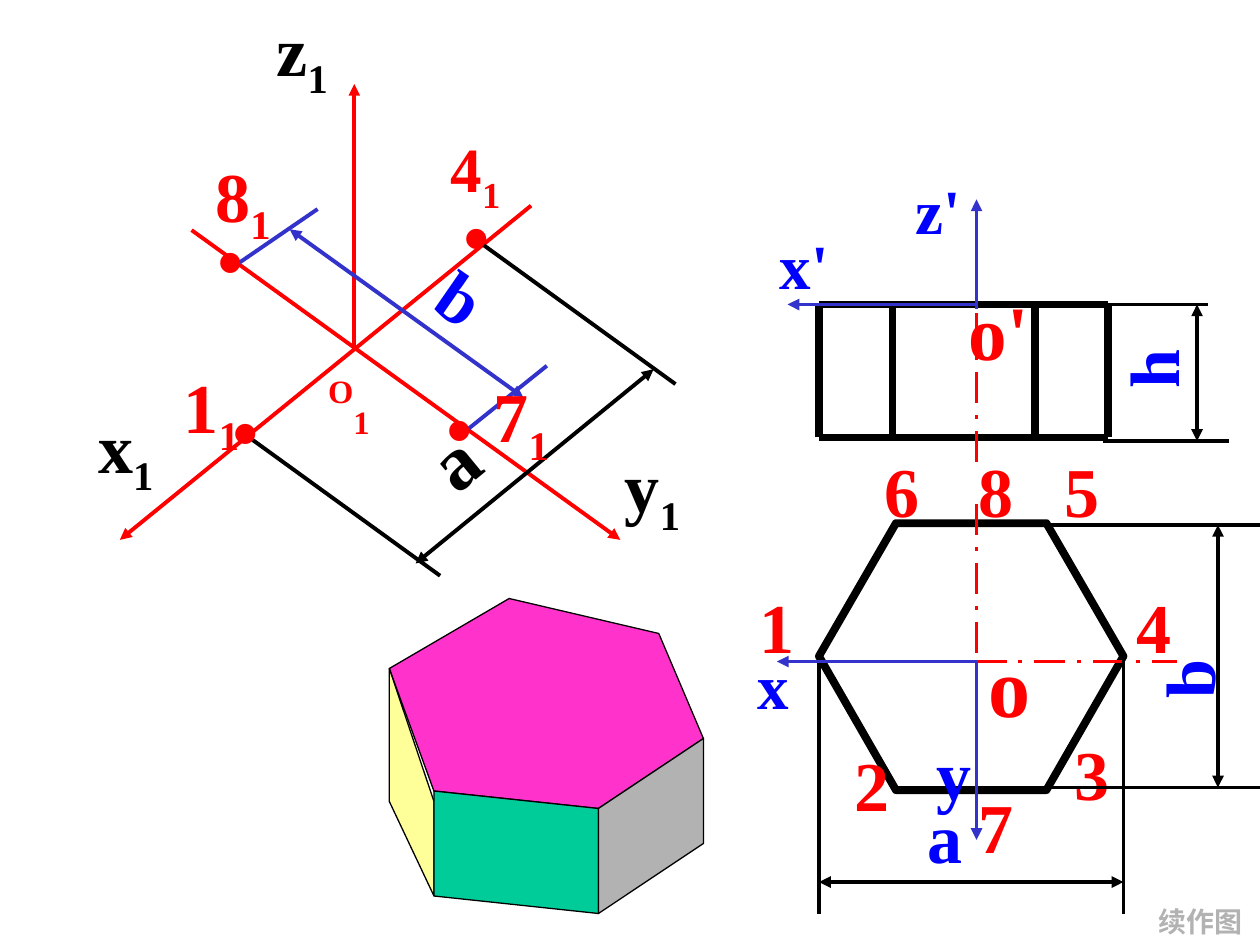
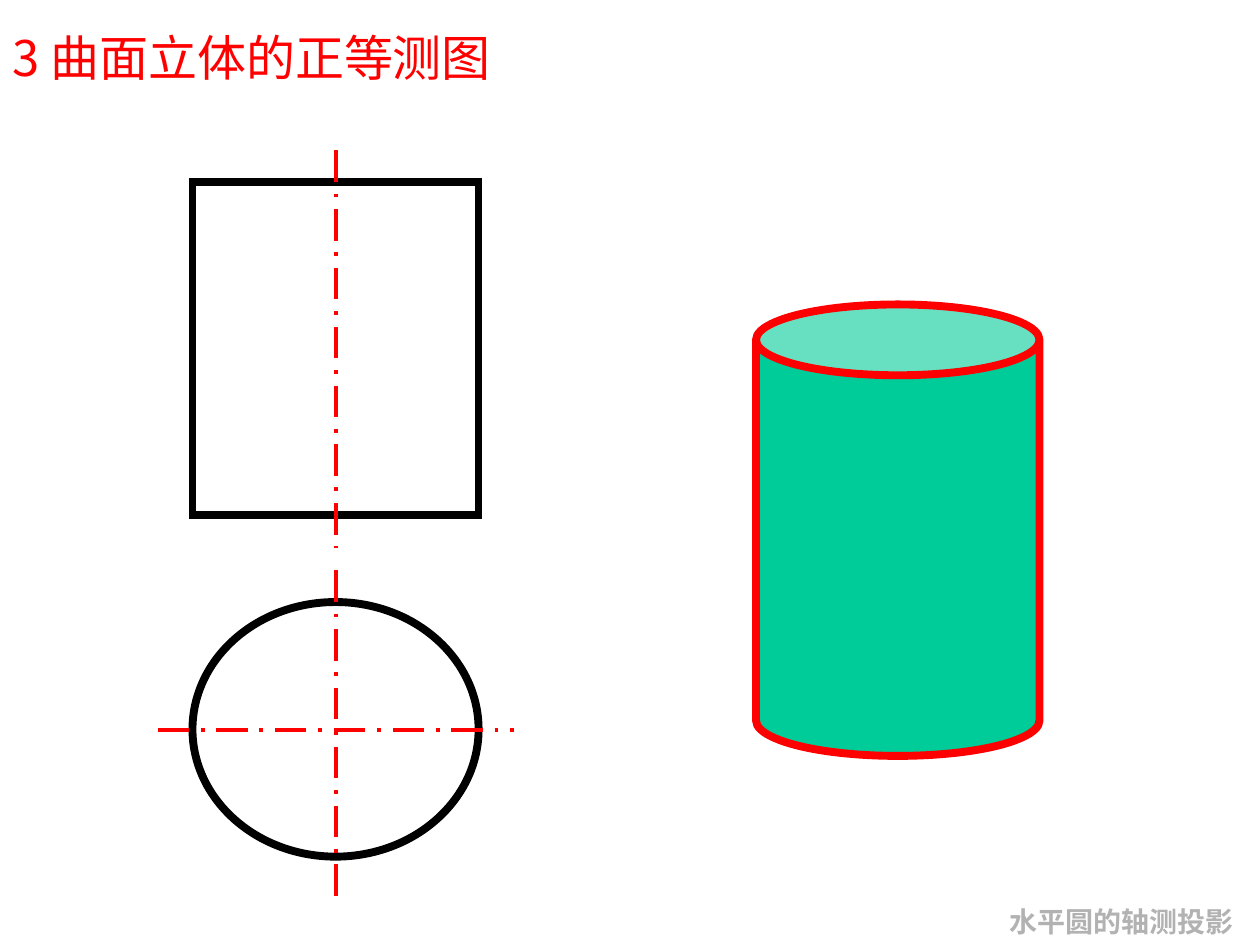
from dataclasses import dataclass

from lxml import etree
from pptx import Presentation, util as u
from pptx.dml.color import RGBColor
from pptx.enum import dml, shapes, text
from pptx.oxml.ns import qn

Pt = u.Pt


@dataclass(frozen=True)
class Theme:
    black: str = "000000"
    red: str = "FF0000"
    blue: str = "0000FF"
    navy: str = "3333CC"
    pink: str = "FF33CC"
    cream: str = "FFFF99"
    green: str = "00CC99"
    gray: str = "B2B2B2"
    serif: str = "Times New Roman"
    sans: str = "Arial"
    han: str = "Noto Sans CJK SC"
    note: int = 16
    head: int = 28
    small: int = 32
    mid: int = 36
    base: int = 40
    big: int = 44
    huge: int = 48
    hair: float = 0.75
    thin: float = 2.25
    thick: float = 4.5


T = Theme()


class Board:
    """Holds the deck, the theme and the slide being drawn."""

    def __init__(self):
        self.deck = Presentation()
        self.deck.slide_width, self.deck.slide_height = Pt(720), Pt(540)
        self.slide = None

    def page(self):
        self.slide = self.deck.slides.add_slide(self.deck.slide_layouts[6])

    def style(self, shape, fill, col, width):
        shape.shadow.inherit = False
        if fill:
            shape.fill.solid()
            shape.fill.fore_color.rgb = RGBColor.from_string(fill)
        else:
            shape.fill.background()
        shape.line.color.rgb = RGBColor.from_string(col)
        shape.line.width = Pt(width)

    def shape(self, kind, box, fill=None, col=T.black):
        item = self.slide.shapes.add_shape(kind, *map(Pt, box))
        self.style(item, fill, col, T.thick)
        edge = item.element.spPr.find(qn("a:ln"))
        etree.SubElement(edge, qn("a:miter")).set("lim", "800000")
        return item

    def poly(self, dots, fill=None, width=T.hair):
        dots = [(Pt(x), Pt(y)) for x, y in dots]
        pen = self.slide.shapes.build_freeform(*dots[0])
        pen.add_line_segments(dots[1:], close=True)
        self.style(pen.convert_to_shape(), fill, T.black, width)

    def line(self, x1, y1, x2, y2, col=T.black, width=T.thin, ends=(), dash=False):
        item = self.slide.shapes.add_connector(
            shapes.MSO_CONNECTOR.STRAIGHT, Pt(x1), Pt(y1), Pt(x2), Pt(y2))
        item.line.color.rgb = RGBColor.from_string(col)
        item.line.width = Pt(width)
        if dash:
            item.line.dash_style = dml.MSO_LINE.LONG_DASH_DOT
        props = item.element.spPr
        for end in ends:
            etree.SubElement(props.find(qn("a:ln")), qn(f"a:{end}")).set("type", "triangle")
        etree.SubElement(props, qn("a:effectLst"))

    def arrow(self, *ends, col=T.navy):
        self.line(*ends, col=col, ends=["tailEnd"])

    def span(self, *ends, col=T.black):
        self.line(*ends, col=col, ends=["headEnd", "tailEnd"])

    def axis(self, *ends):
        self.line(*ends, col=T.red, dash=True)

    def label(self, words, box, col=T.red, size=T.base, sub="", up=0, turn=0,
              face=T.serif, bold=True, mid=False, wrap=False):
        item = self.slide.shapes.add_textbox(*map(Pt, box))
        item.rotation = turn
        frame = item.text_frame
        frame.word_wrap = wrap
        frame.auto_size = text.MSO_AUTO_SIZE.SHAPE_TO_FIT_TEXT
        para = frame.paragraphs[0]
        para.text = words
        if mid:
            para.alignment = text.PP_ALIGN.CENTER
        if sub:
            para.add_run().text = sub
        for run, shift in zip(para.runs, (up, -25)):
            font = run.font
            font.name, font.size, font.bold = face, Pt(size), bold
            font.color.rgb = RGBColor.from_string(col)
            props = run._r.get_or_add_rPr()
            etree.SubElement(props, qn("a:ea")).set("typeface", T.han)
            if shift:
                props.set("baseline", str(shift * 1000))

    def note(self, words, left, width):
        self.label(words, (left, 513.5, width, 26.5), T.gray, T.note, mid=True)


def prism(b):
    # Solid hexagonal prism
    rim = [(291, 342), (222.5, 382), (248, 452), (342, 462), (402, 422), (376.5, 362)]
    b.poly(rim, T.pink)
    b.poly([(222.5, 382), (222.5, 458), (248, 512), (248, 458)], T.cream)
    for i, fill in ((2, T.green), (3, T.gray)):
        (x1, y1), (x2, y2) = rim[i], rim[i + 1]
        b.poly([(x1, y1), (x2, y2), (x2, y2 + 60), (x1, y1 + 60)], fill)


def iso(b):
    # Axonometric axes
    axes = (("x", (303.5, 117.5, 68.5, 308.5), (49, 227, 46, 62)),
            ("y", (109.5, 131.5, 354.5, 308.5), (350, 249.5, 46, 62)),
            ("z", (202.5, 200, 202.5, 48), (151, 0, 45, 62)))
    for name, ends, box in axes:
        b.arrow(*ends, col=T.red)
        b.label(name, box, T.black, sub="1")
    b.label("O", (180.5, 204.5, 38.5, 51), size=T.small, sub="1", up=30)

    # Width b
    b.line(134, 152, 181.5, 119.5, T.navy)
    b.line(261.5, 250, 312.5, 209, T.navy)
    b.span(299, 227, 165.5, 131, col=T.navy)
    b.label("b", (246, 142, 37, 55.5), T.blue, turn=34.7)

    # Length a
    b.line(273.5, 138, 386, 219.5)
    b.line(139, 247.5, 251.5, 329)
    b.span(237.5, 322, 373.5, 211)
    b.label("a", (241, 232.5, 36, 60.5), T.black, T.big, turn=320.5)

    # Points on the axes
    for name, x, y in (("7", 275, 209.5), ("8", 116, 83.5), ("1", 98, 204)):
        b.label(name, (x, y, 46, 62), sub="1")
    b.label("4", (250.5, 70.5, 45, 57), size=T.mid, sub="1")
    for x, y in ((248.5, 216), (118, 120), (258.5, 106.5), (126.5, 218)):
        b.label("•", (x, y, 31, 55.5), face=T.sans)


def views(b):
    left, right, mid, top, low = 468, 642, 558, 174, 250

    # Top view and front view
    b.poly([(right, 375), (598, 299), (512, 299), (left, 375), (512, 451.5), (598, 451.5)],
           width=T.thick)
    for x in (left, 510, 591.5, 633):
        b.line(x, low, x, top, width=T.thick)
    for y in (top, low):
        b.line(left, y, 633, y, width=T.thick)

    # Centre lines
    b.axis(mid, 288, mid, 474)
    b.axis(456.5, 378, 672.5, 378)
    b.axis(mid, 264, mid, 156)

    # Corner numbers
    spots = ((427, 330), (481, 420), (607, 414), (642, 330),
             (601, 252), (498, 252), (552, 444), (552, 252))
    for i, (x, y) in enumerate(spots, 1):
        b.label(str(i), (x, y, 34.5, 55.5), mid=True)

    # Dimensions a, b and h
    for x in (left, right):
        b.line(x, 372, x, 522)
    b.span(left, 504, right, 504)
    b.label("a", (523, 450, 34.5, 55.5), T.blue, mid=True)
    b.line(600.5, 300, 720, 300)
    b.line(594, 450, 720, 450)
    b.span(696, 300, 696, 450)
    b.label("b", (660, 360, 37, 55.5), T.blue, turn=270, mid=True)
    b.line(630, top, 690.5, top)
    b.line(630, 252, 702, 252)
    b.span(684, top, 684, 252)
    b.label("h", (639.5, 183, 37, 55.5), T.blue, turn=270, mid=True)

    # Axes of both views
    b.label("o'", (546.5, 158.5, 55, 60.5), size=T.big, wrap=True)
    b.label("o", (mid, 358.5, 38.5, 65), size=T.huge)
    for ends in ((mid, 176.5, mid, 114), (mid, top, 450, top),
                 (mid, 378, mid, 480), (mid, 378, 444, 378)):
        b.arrow(*ends)
    b.label("z'", (516, 94.5, 40.5, 50.5), T.blue, T.mid)
    b.label("x'", (438.5, 126, 42.5, 50.5), T.blue, T.mid)
    b.label("y", (528, 414, 34.5, 55.5), T.blue)
    b.label("x", (426, 366, 33, 50.5), T.blue, T.mid)


def drum(b):
    kind = shapes.MSO_SHAPE
    b.label("3 曲面立体的正等测图", (0, 12, 474.5, 41), size=T.head,
            face=T.han, bold=False, wrap=True)

    # Front and top views
    b.shape(kind.RECTANGLE, (110, 104, 163.5, 190.5))
    b.axis(192, 86, 192, 313)
    b.shape(kind.OVAL, (110, 344, 163.5, 145.5))
    b.axis(90, 417, 294, 417)
    b.axis(192, 326, 192, 517)

    # Solid cylinder
    can = b.shape(kind.CAN, (432, 174, 162, 258), T.green, T.red)
    can.adjustments[0] = 0.25


def main():
    b = Board()
    b.page()
    prism(b)
    iso(b)
    views(b)
    b.note("续作图", 652, 68)

    b.page()
    drum(b)
    b.note("水平圆的轴测投影", 569, 144)
    b.deck.save("out.pptx")


if __name__ == "__main__":
    main()
